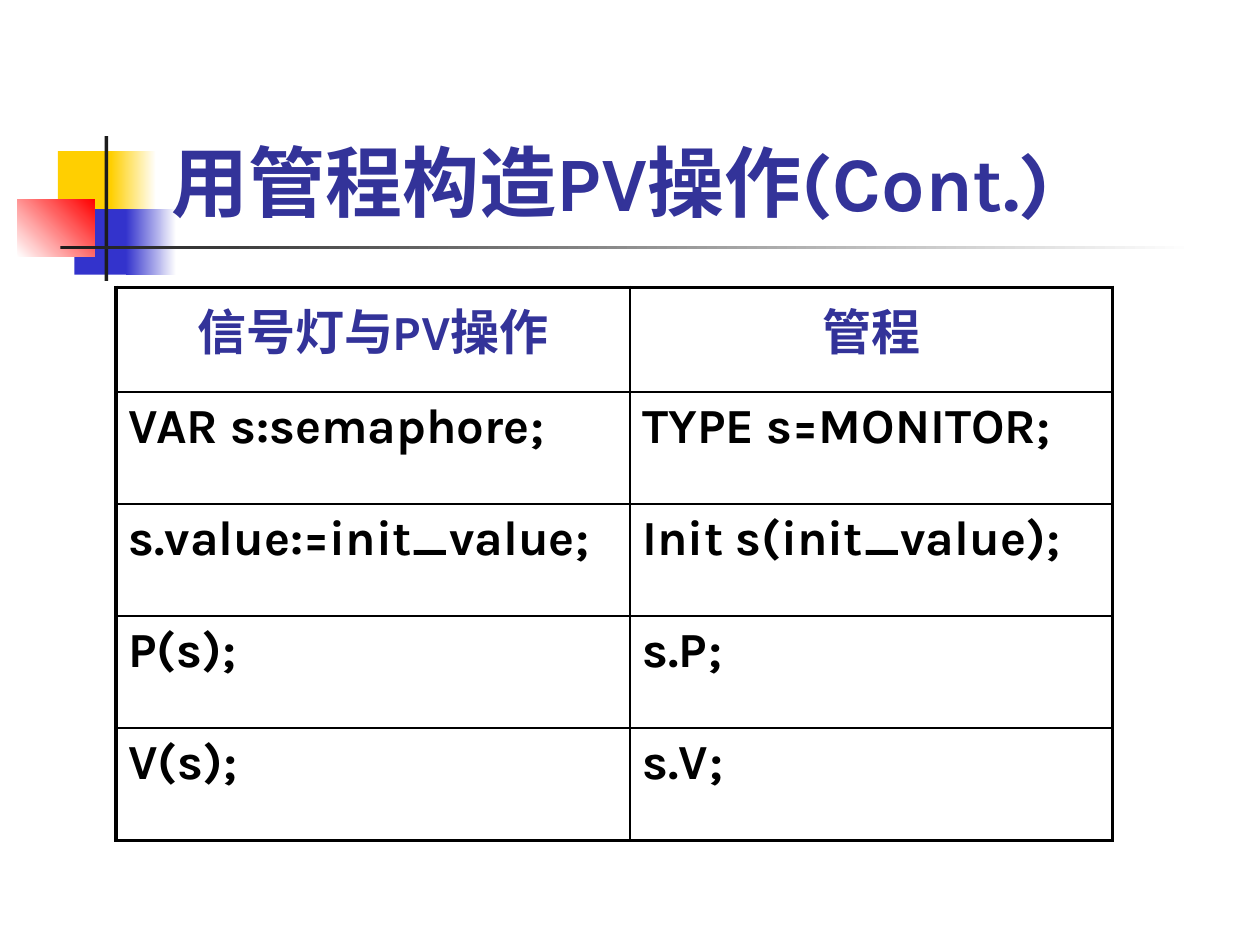
from lxml import etree
from pptx import Presentation
from pptx.dml.color import RGBColor
from pptx.enum.shapes import MSO_SHAPE
from pptx.enum.text import MSO_ANCHOR, MSO_AUTO_SIZE, PP_ALIGN
from pptx.oxml.ns import qn
from pptx.util import Inches, Pt

RECTANGLE = MSO_SHAPE.RECTANGLE
LEFT, CENTER = PP_ALIGN.LEFT, PP_ALIGN.CENTER
BOTTOM = MSO_ANCHOR.BOTTOM
NO_AUTOFIT = MSO_AUTO_SIZE.NONE

# Content
TITLE = "用管程构造PV操作(Cont.)"
COMPARISON = [
    ("信号灯与PV操作", "管程"),
    ("VAR s:semaphore;", "TYPE s=MONITOR;"),
    ("s.value:=init_value;", "Init s(init_value);"),
    ("P(s);", "s.P;"),
    ("V(s);", "s.V;"),
]

THEME = {
    "font": "Karla",
    "title_size": 44,
    "table_size": 28,
    "heading": "333399",
    "text": "000000",
    "border": "000000",
    "outer_line": 2.25,
    "inner_line": 1,
    "yellow": "FFCF01",
    "blue": "3333CC",
    "red": "FF0000",
    "dark": "1C1C1C",
    "white": "FFFFFF",
}

# Layout: left, top, width, height
TITLE_BOX = (1.26, 0.68, 8.52, 1.17)
TABLE_ORIGIN = (0.92, 2.28)
COLUMN_WIDTHS = (4.08, 3.83)
HEADER_HEIGHT, ROW_HEIGHT = 0.83, 0.89

# Ornament blocks: box, colours (two make a gradient), gradient angle
ORNAMENTS = [
    ((0.46, 1.2, 0.48, 0.52), ("yellow",), 0),
    ((0.88, 1.2, 0.36, 0.52), ("yellow", "white"), 0),
    ((0.59, 1.66, 0.46, 0.52), ("blue",), 0),
    ((1, 1.66, 0.4, 0.52), ("blue", "white"), 0),
    ((0.14, 1.58, 0.61, 0.46), ("white", "red"), 45),
    ((0.83, 1.08, 0.03, 1.15), ("dark",), 0),
    ((0.48, 1.95, 9, 0.03), ("dark", "white"), 0),
]


def color(name):
    return RGBColor.from_string(THEME[name])


def write(frame, text, size, color_name, align=LEFT):
    paragraph = frame.paragraphs[0]
    paragraph.alignment = align
    run = paragraph.add_run()
    run.text = text
    font_format = {"name": THEME["font"], "size": Pt(THEME[size]), "bold": True}
    for attribute, value in font_format.items():
        setattr(run.font, attribute, value)
    run.font.color.rgb = color(color_name)


def add_ornament(slide, box, color_names, angle):
    block = slide.shapes.add_shape(RECTANGLE, *map(Inches, box))
    block.shadow.inherit = False
    block.line.fill.background()
    if len(color_names) == 1:
        block.fill.solid()
        block.fill.fore_color.rgb = color(color_names[0])
        return
    block.fill.gradient()
    block.fill.gradient_angle = angle
    for stop, name in zip(block.fill.gradient_stops, color_names):
        stop.color.rgb = color(name)


def set_borders(cell, outer_sides):
    """Give the cell four lines, heavier on the table's outer edge."""
    properties = cell._tc.get_or_add_tcPr()
    for position, side in enumerate("LRTB"):
        weight = THEME["outer_line" if side in outer_sides else "inner_line"]
        line = etree.Element(qn(f"a:ln{side}"), w=str(Pt(weight)))
        fill = etree.SubElement(line, qn("a:solidFill"))
        etree.SubElement(fill, qn("a:srgbClr"), val=THEME["border"])
        properties.insert(position, line)


def add_comparison(slide):
    row_heights = [HEADER_HEIGHT] + [ROW_HEIGHT] * (len(COMPARISON) - 1)
    extent = (sum(COLUMN_WIDTHS), sum(row_heights))
    table = slide.shapes.add_table(
        len(row_heights), len(COLUMN_WIDTHS), *map(Inches, TABLE_ORIGIN + extent)
    ).table
    table.first_row = table.horz_banding = False
    for column, width in zip(table.columns, COLUMN_WIDTHS):
        column.width = Inches(width)
    for row, height in zip(table.rows, row_heights):
        row.height = Inches(height)

    last_row, last_column = len(row_heights) - 1, len(COLUMN_WIDTHS) - 1
    for r, entries in enumerate(COMPARISON):
        for c, entry in enumerate(entries):
            cell = table.cell(r, c)
            cell.fill.background()
            on_edge = {"L": c == 0, "R": c == last_column, "T": r == 0, "B": r == last_row}
            set_borders(cell, [side for side, outer in on_edge.items() if outer])
            style = ("heading", CENTER) if r == 0 else ("text", LEFT)
            write(cell.text_frame, entry, "table_size", *style)


def main():
    deck = Presentation()
    deck.slide_width, deck.slide_height = Inches(10), Inches(7.5)
    slide = deck.slides.add_slide(deck.slide_layouts[5])

    # Ornament, placed behind the title
    title = slide.shapes.title
    for box, color_names, angle in ORNAMENTS:
        add_ornament(slide, box, color_names, angle)
    slide.shapes._spTree.append(title._element)

    # Title
    title.left, title.top, title.width, title.height = map(Inches, TITLE_BOX)
    frame_format = {"vertical_anchor": BOTTOM, "auto_size": NO_AUTOFIT, "word_wrap": True}
    for attribute, value in frame_format.items():
        setattr(title.text_frame, attribute, value)
    write(title.text_frame, TITLE, "title_size", "heading")

    # Comparison table
    add_comparison(slide)
    deck.save("out.pptx")


if __name__ == "__main__":
    main()
